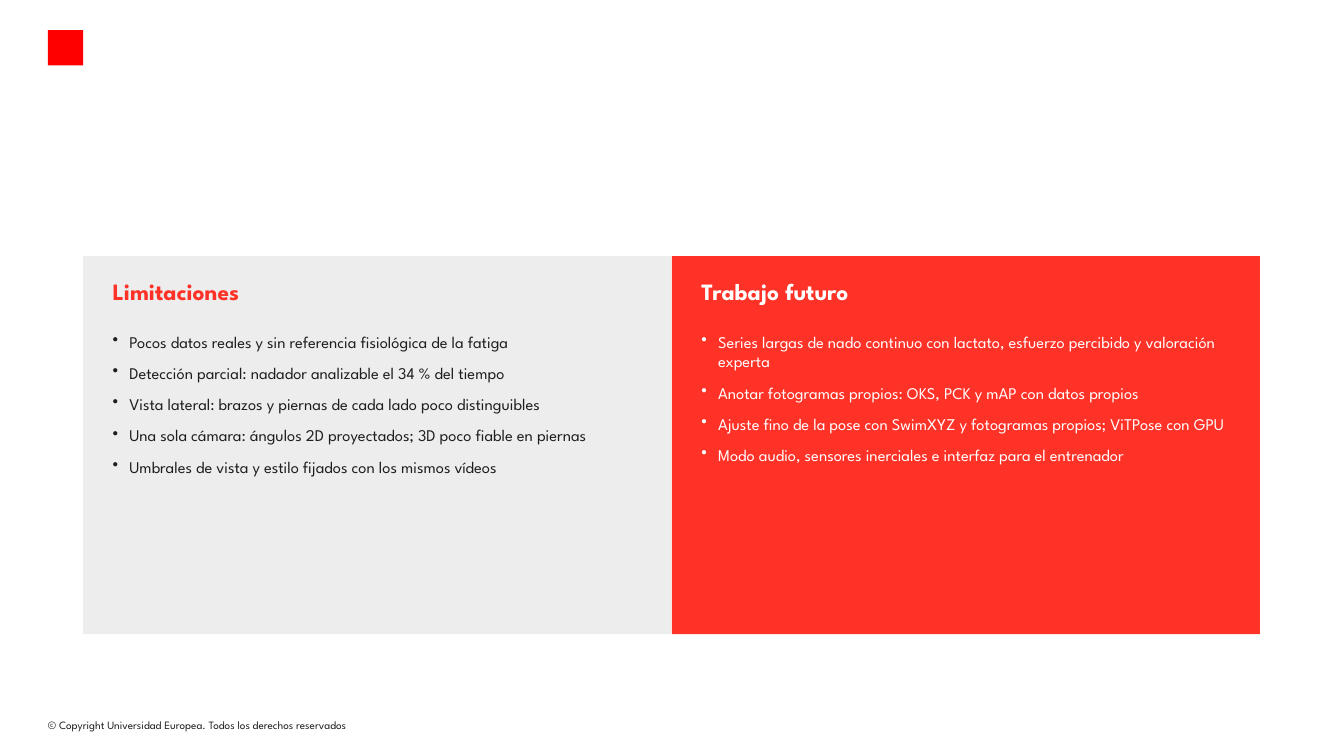
import pptx
import pptx.dml.color
import pptx.enum.shapes
import pptx.enum.text
import pptx.oxml.ns
import pptx.util
from dataclasses import dataclass
from lxml import etree
from pptx.util import Inches


@dataclass(frozen=True)
class Theme:
    font: str = "League Spartan"
    ink: str = "1E1E1E"
    white: str = "FFFFFF"
    grey: str = "EEEDED"
    coral: str = "FF3228"
    red: str = "FF0000"
    head: float = 20
    body: float = 14
    foot: float = 9.6


class Deck:
    def __init__(self, theme):
        self.theme = theme
        self.file = pptx.Presentation()
        self.file.slide_width = Inches(16)
        self.file.slide_height = Inches(9)
        self.slide = self.file.slides.add_slide(self.file.slide_layouts[6])

    def rect(self, left, top, width, height, color):
        kind = pptx.enum.shapes.MSO_SHAPE.RECTANGLE
        shape = self.slide.shapes.add_shape(
            kind, Inches(left), Inches(top), Inches(width), Inches(height))
        shape.shadow.inherit = False
        shape.fill.solid()
        shape.fill.fore_color.rgb = pptx.dml.color.RGBColor.from_string(color)
        shape.line.fill.background()

    def text(self, left, top, width, height, lines, size, color,
             bold=False, after=0, bullet=False):
        box = self.slide.shapes.add_textbox(
            Inches(left), Inches(top), Inches(width), Inches(height))
        frame = box.text_frame
        frame.word_wrap = True
        frame.auto_size = pptx.enum.text.MSO_AUTO_SIZE.NONE
        frame.margin_left = frame.margin_right = 0
        frame.margin_top = frame.margin_bottom = 0
        frame.text = "\n".join(lines)
        for para in frame.paragraphs:
            para.space_after = pptx.util.Pt(after)
            if bullet:
                self.bullet(para)
            font = para.font
            font.name = self.theme.font
            font.size = pptx.util.Pt(size)
            font.bold = bold
            font.color.rgb = pptx.dml.color.RGBColor.from_string(color)

    def bullet(self, para):
        """Give the paragraph a round bullet with a hanging indent."""
        props = para._p.get_or_add_pPr()
        hang = Inches(0.2)
        props.set("marL", str(hang))
        props.set("indent", str(-hang))
        mark = etree.SubElement(props, pptx.oxml.ns.qn("a:buChar"))
        mark.set("char", "•")

    def panel(self, left, fill, title, accent, items, color):
        """Draw a filled half with its heading and bullet list."""
        inner = left + 0.35
        self.rect(left, 3.05, 7, 4.5, fill)
        self.text(inner, 3.3, 6.3, 0.5, [title], self.theme.head, accent,
                  bold=True, after=6)
        self.text(inner, 3.95, 6.3, 3.5, items, self.theme.body, color,
                  after=10, bullet=True)


LIMITS = [
    "Pocos datos reales y sin referencia fisiológica de la fatiga",
    "Detección parcial: nadador analizable el 34 % del tiempo",
    "Vista lateral: brazos y piernas de cada lado poco distinguibles",
    "Una sola cámara: ángulos 2D proyectados; 3D poco fiable en piernas",
    "Umbrales de vista y estilo fijados con los mismos vídeos",
]
FUTURE = [
    "Series largas de nado continuo con lactato, esfuerzo percibido y valoración experta",
    "Anotar fotogramas propios: OKS, PCK y mAP con datos propios",
    "Ajuste fino de la pose con SwimXYZ y fotogramas propios; ViTPose con GPU",
    "Modo audio, sensores inerciales e interfaz para el entrenador",
]


def main():
    theme = Theme()
    deck = Deck(theme)
    deck.text(0.57, 8.55, 4.22, 0.16,
              ["© Copyright Universidad Europea. Todos los derechos reservados"],
              theme.foot, theme.ink)
    deck.rect(0.57, 0.36, 0.42, 0.42, theme.red)
    deck.panel(0.99, theme.grey, "Limitaciones", theme.coral, LIMITS, theme.ink)
    deck.panel(8, theme.coral, "Trabajo futuro", theme.white, FUTURE, theme.white)
    deck.file.save("out.pptx")


if __name__ == "__main__":
    main()
